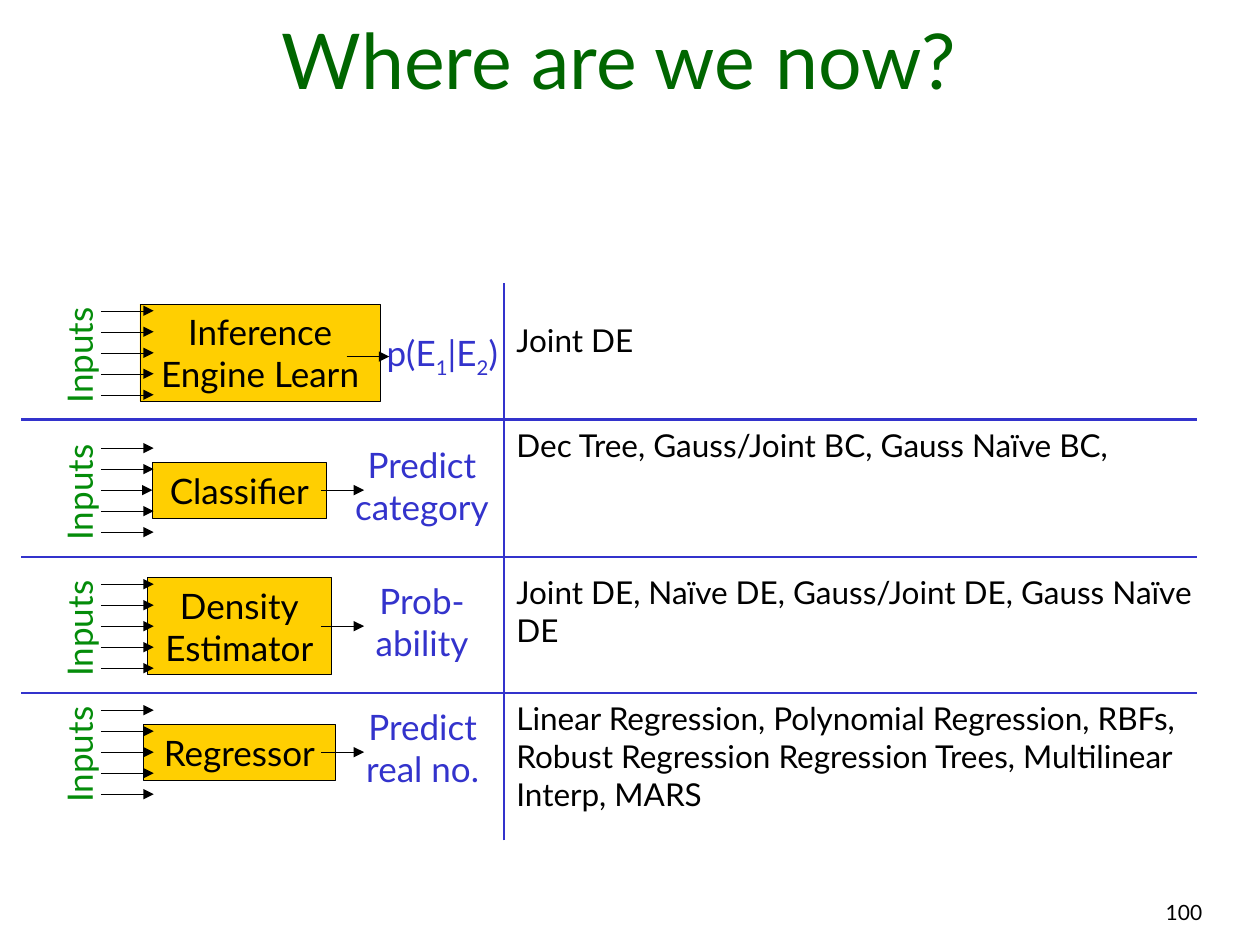
"""Build a slide that pairs four kinds of learner with their known methods."""
from lxml.etree import SubElement
from pptx import Presentation
from pptx.dml.color import RGBColor
from pptx.enum.shapes import MSO_CONNECTOR, MSO_SHAPE
from pptx.enum.text import MSO_ANCHOR, PP_ALIGN
from pptx.oxml.ns import qn
from pptx.util import Inches, Pt

BLACK = RGBColor(0x00, 0x00, 0x00)
TITLE_GREEN = RGBColor(0x00, 0x66, 0x00)
INPUT_GREEN = RGBColor(0x04, 0x8C, 0x0A)
BLUE = RGBColor(0x33, 0x33, 0xCC)
GOLD = RGBColor(0xFF, 0xCF, 0x01)

presentation = Presentation()
presentation.slide_width = Inches(10)
presentation.slide_height = Inches(7.5)
slide = presentation.slides.add_slide(presentation.slide_layouts[6])


def add_text(text, left, top, width, height, size, color, alignment=PP_ALIGN.CENTER,
             wrap=False, anchor=MSO_ANCHOR.TOP, fill=None):
    position = (Inches(left), Inches(top), Inches(width), Inches(height))
    if fill is None:
        shape = slide.shapes.add_textbox(*position)
    else:
        shape = slide.shapes.add_shape(MSO_SHAPE.RECTANGLE, *position)
        shape.shadow.inherit = False
        shape.fill.solid()
        shape.fill.fore_color.rgb = fill
        shape.line.color.rgb = BLACK
        shape.line.width = Pt(0.25)
    text_frame = shape.text_frame
    text_frame.text = text
    text_frame.word_wrap = wrap
    text_frame.vertical_anchor = anchor
    for paragraph in text_frame.paragraphs:
        paragraph.alignment = alignment
        for run in paragraph.runs:
            run.font.name = "Lato"
            run.font.size = Pt(size)
            run.font.color.rgb = color
    return shape


def add_line(start_x, start_y, end_x, end_y, color, width, arrow=False):
    line = slide.shapes.add_connector(
        MSO_CONNECTOR.STRAIGHT,
        Inches(start_x), Inches(start_y), Inches(end_x), Inches(end_y))
    line.line.color.rgb = color
    line.line.width = Pt(width)
    if arrow:
        SubElement(line.line._get_or_add_ln(), qn("a:tailEnd"), type="triangle")
    SubElement(line._element.spPr, qn("a:effectLst"))
    return line


add_text("100", 5.72, 7.09, 3.92, 0.33, 12, BLACK, PP_ALIGN.RIGHT, wrap=True)
add_text("Where are we now?", 0.25, 0.17, 9.33, 0.71, 44, TITLE_GREEN,
         wrap=True, anchor=MSO_ANCHOR.BOTTOM)

for divider_y in (3.33, 4.42, 5.5):
    add_line(0.17, divider_y, 9.5, divider_y, BLUE, 1.5)
add_line(4, 6.67, 4, 2.25, BLUE, 1.5)

rows = [
    (2.8, "Inference\nEngine Learn", 1.11, 1.91, 0.77, "", 2.92, 1.18, 2.58, 0.48,
     2.75, 2.83, "Joint DE", 2.5, 0.4),
    (3.89, "Classifier", 1.21, 1.38, 0.44, "Predict\ncategory", 2.68, 1.34, 3.47, 0.77,
     2.55, 3.89, "Dec Tree, Gauss/Joint BC, Gauss Naïve BC,", 3.33, 0.4),
    (4.97, "Density\nEstimator", 1.17, 1.46, 0.77, "Prob-\nability", 2.86, 0.98, 4.55, 0.77,
     2.55, 4.97, "Joint DE, Naïve DE, Gauss/Joint DE, Gauss Naïve DE", 4.5, 0.7),
    (5.97, "Regressor", 1.14, 1.52, 0.44, "Predict\nreal no.", 2.76, 1.19, 5.55, 0.77,
     2.55, 5.97, "Linear Regression, Polynomial Regression, RBFs, Robust Regression "
     "Regression Trees, Multilinear Interp, MARS", 5.5, 1),
]
for (center_y, learner, box_left, box_width, box_height,
     output, output_left, output_width, output_top, output_height,
     arrow_x, arrow_y, methods, methods_top, methods_height) in rows:
    inputs = add_text("Inputs", 0.11, center_y - 0.2, 1.04, 0.44, 20, INPUT_GREEN)
    inputs.rotation = 270
    box = add_text(learner, box_left, center_y - box_height / 2, box_width, box_height,
                   20, BLACK, anchor=MSO_ANCHOR.MIDDLE, fill=GOLD)
    label = add_text(output, output_left, output_top, output_width, output_height, 20, BLUE)
    if not output:
        for part, baseline in (("p(E", 0), ("1", -25000), ("|E", 0), ("2", -25000), (")", 0)):
            run = label.text_frame.paragraphs[0].add_run()
            run.text = part
            run.font.name = "Lato"
            run.font.size = Pt(20)
            run.font.color.rgb = BLUE
            run.font._element.set("baseline", str(baseline))
    for step in range(-2, 3):
        input_y = center_y + step / 6
        arrow = add_line(0.8, input_y, 1.22, input_y, BLACK, 0.25, arrow=True)
        if step == 0 and learner == "Classifier":
            arrow.end_connect(box, 1)
    add_line(arrow_x, arrow_y, arrow_x + 0.34, arrow_y, BLACK, 0.25, arrow=True)
    add_text(methods, 4, methods_top, 5.85, methods_height, 18, BLACK, PP_ALIGN.LEFT, wrap=True)

presentation.save("out.pptx")
